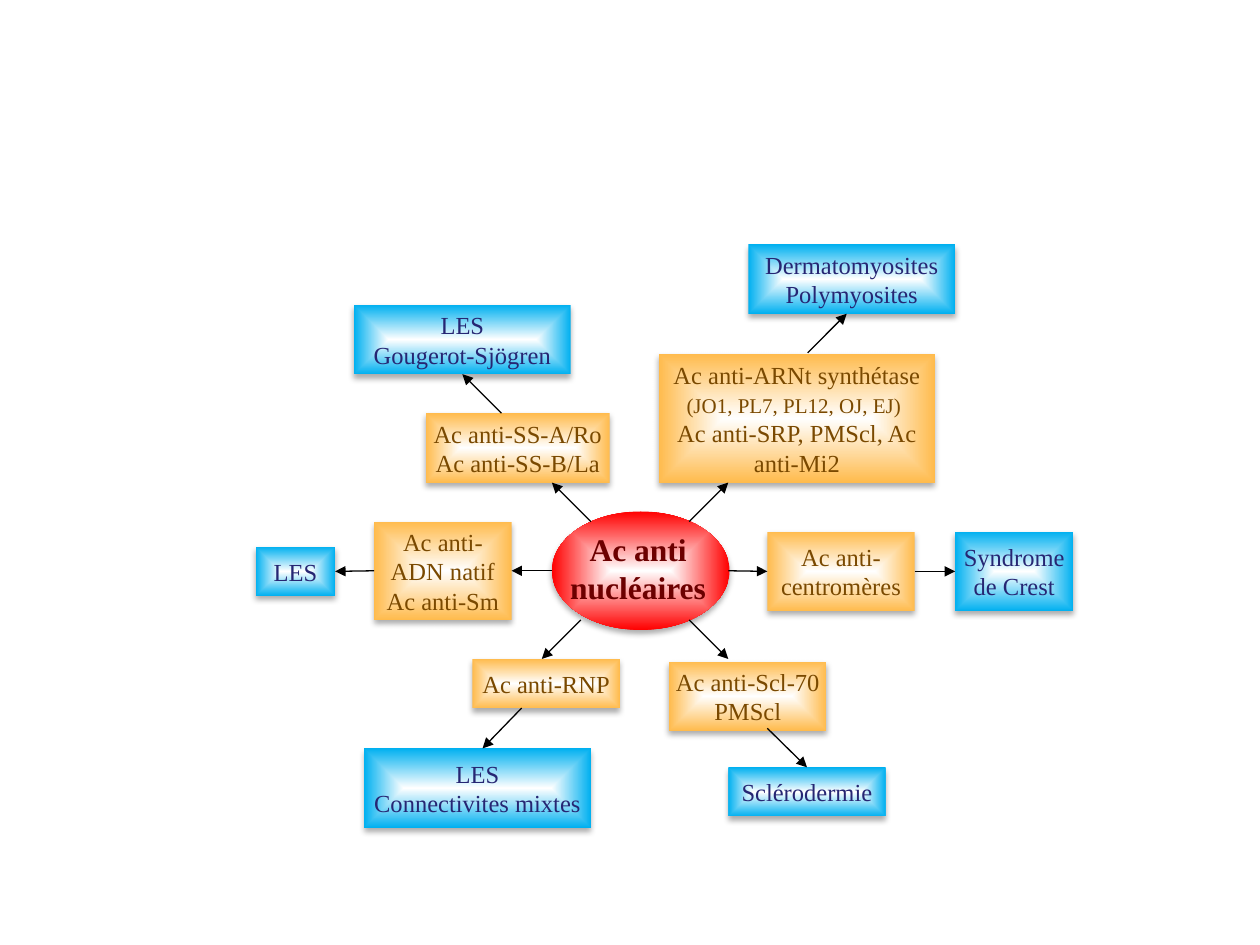
from lxml.etree import SubElement
from pptx import Presentation
from pptx.dml.color import RGBColor
from pptx.enum.shapes import MSO_CONNECTOR, MSO_SHAPE
from pptx.enum.text import MSO_ANCHOR, PP_ALIGN
from pptx.oxml.ns import qn
from pptx.util import Inches, Pt

FONT = "Times New Roman"
ANTIBODY = ("FFBB4D", "7A4900")
DISEASE = ("00B0F0", "262673")
CENTRE = ("FF0000", "6C0000")
TOP, LEFT, BOTTOM, RIGHT = range(4)

BOXES = {
    "adn": (2.97, 4.14, 1.09, 0.78, ANTIBODY, ["Ac anti-ADN natif", "Ac anti-Sm"]),
    "ss": (3.38, 3.28, 1.46, 0.55, ANTIBODY, ["Ac anti-SS-A/Ro", "Ac anti-SS-B/La"]),
    "arnt": (5.23, 2.81, 2.19, 1.02, ANTIBODY, [
        [("Ac anti-ARNt synthétase ", 14), ("(JO1, PL7, PL12, OJ, EJ)", 12), (" ", 14)],
        "Ac anti-SRP, PMScl, Ac anti-Mi2"]),
    "centromere": (6.09, 4.22, 1.17, 0.63, ANTIBODY, ["Ac anti- centromères"]),
    "scl70": (5.31, 5.25, 1.25, 0.55, ANTIBODY, ["Ac anti-Scl-70", "PMScl"]),
    "rnp": (3.75, 5.23, 1.17, 0.39, ANTIBODY, ["Ac anti-RNP"]),
    "mixtes": (2.89, 5.94, 1.8, 0.63, DISEASE, ["LES", "Connectivites mixtes"]),
    "sclerodermie": (5.78, 6.09, 1.25, 0.39, DISEASE, ["Sclérodermie"]),
    "crest": (7.58, 4.22, 0.94, 0.63, DISEASE, ["Syndrome de Crest"]),
    "myosites": (5.94, 1.94, 1.64, 0.55, DISEASE, ["Dermatomyosites", "Polymyosites"]),
    "gougerot": (2.81, 2.42, 1.72, 0.55, DISEASE, ["LES", "Gougerot-Sjögren"]),
    "les": (2.03, 4.34, 0.63, 0.39, DISEASE, ["LES"]),
}

ARROWS = [
    ((4.38, 4.53), (4.06, 4.53), None, ("adn", RIGHT)),
    ((2.97, 4.53), (2.66, 4.53), ("adn", LEFT), ("les", RIGHT)),
    ((5.78, 4.53), (6.09, 4.53), None, ("centromere", LEFT)),
    ((7.27, 4.53), (7.58, 4.53), ("centromere", RIGHT), ("crest", LEFT)),
    ((5.47, 4.14), (5.78, 3.83), None, None),
    ((6.41, 2.8), (6.72, 2.49), None, None),
    ((4.69, 4.14), (4.38, 3.83), None, None),
    ((3.98, 3.28), (3.67, 2.97), None, ("gougerot", BOTTOM)),
    ((5.47, 4.92), (5.78, 5.23), None, None),
    ((6.09, 5.78), (6.41, 6.09), None, ("sclerodermie", TOP)),
    ((4.61, 4.92), (4.3, 5.23), None, None),
    ((4.14, 5.62), (3.83, 5.94), None, None),
]


def rgb(value):
    return RGBColor.from_string(value)


def add_glow_shape(shapes, kind, x, y, w, h, color):
    sp = shapes.add_shape(kind, Inches(x), Inches(y), Inches(w), Inches(h))
    sp.fill.gradient()
    for stop, value in zip(sp.fill.gradient_stops, ("FFFFFF", color)):
        stop.color.rgb = rgb(value)
    grad = sp._element.spPr.find(qn("a:gradFill"))
    grad.remove(grad.find(qn("a:lin")))
    shade = SubElement(grad, qn("a:path"), path="shape")
    SubElement(shade, qn("a:fillToRect"), l="50000", t="50000", r="50000", b="50000")
    sp.line.fill.background()
    sp.shadow.inherit = False
    effects = sp._element.spPr.find(qn("a:effectLst"))
    shadow = SubElement(effects, qn("a:outerShdw"), blurRad=str(Pt(3.5)),
                        dist=str(Pt(2.2)), dir="5400000", rotWithShape="0")
    black = SubElement(shadow, qn("a:srgbClr"), val="000000")
    SubElement(black, qn("a:alpha"), val="32000")
    return sp


def write(tf, lines, color, size=14, bold=False):
    tf.word_wrap = True
    for i, line in enumerate(lines):
        p = tf.add_paragraph() if i else tf.paragraphs[0]
        p.alignment = PP_ALIGN.CENTER
        for text, points in [(line, size)] if isinstance(line, str) else line:
            r = p.add_run()
            r.text = text
            r.font.name = FONT
            r.font.size = Pt(points)
            r.font.bold = bold
            r.font.color.rgb = rgb(color)


def add_box(s, x, y, w, h, colors, lines):
    fill, ink = colors
    sp = add_glow_shape(s.shapes, MSO_SHAPE.RECTANGLE, x, y, w, h, fill)
    tf = sp.text_frame
    tf.vertical_anchor = MSO_ANCHOR.MIDDLE
    tf.margin_left = tf.margin_right = Inches(0.04)
    tf.margin_top = tf.margin_bottom = Inches(0.01)
    write(tf, lines, ink)
    return sp


def add_centre(s):
    fill, ink = CENTRE
    group = s.shapes.add_group_shape()
    add_glow_shape(group.shapes, MSO_SHAPE.OVAL, 4.38, 4.06, 1.41, 0.94, fill)
    tb = group.shapes.add_textbox(Inches(4.4), Inches(4.16), Inches(1.33), Inches(0.7))
    write(tb.text_frame, ["Ac anti nucléaires"], ink, 18, True)


def add_arrow(s, start, end, source, target, boxes):
    points = [Inches(v) for v in start + end]
    c = s.shapes.add_connector(MSO_CONNECTOR.STRAIGHT, *points)
    if source:
        c.begin_connect(boxes[source[0]], source[1])
    if target:
        c.end_connect(boxes[target[0]], target[1])
    c.line.color.rgb = rgb("000000")
    c.line.width = Pt(0.75)
    SubElement(c.line._get_or_add_ln(), qn("a:tailEnd"), type="triangle")
    SubElement(c._element.spPr, qn("a:effectLst"))


def main():
    prs = Presentation()
    prs.slide_width, prs.slide_height = Inches(10), Inches(7.5)
    s = prs.slides.add_slide(prs.slide_layouts[6])
    boxes = {name: add_box(s, *box) for name, box in BOXES.items()}
    add_centre(s)
    for arrow in ARROWS:
        add_arrow(s, *arrow, boxes)
    prs.save("out.pptx")


if __name__ == "__main__":
    main()
